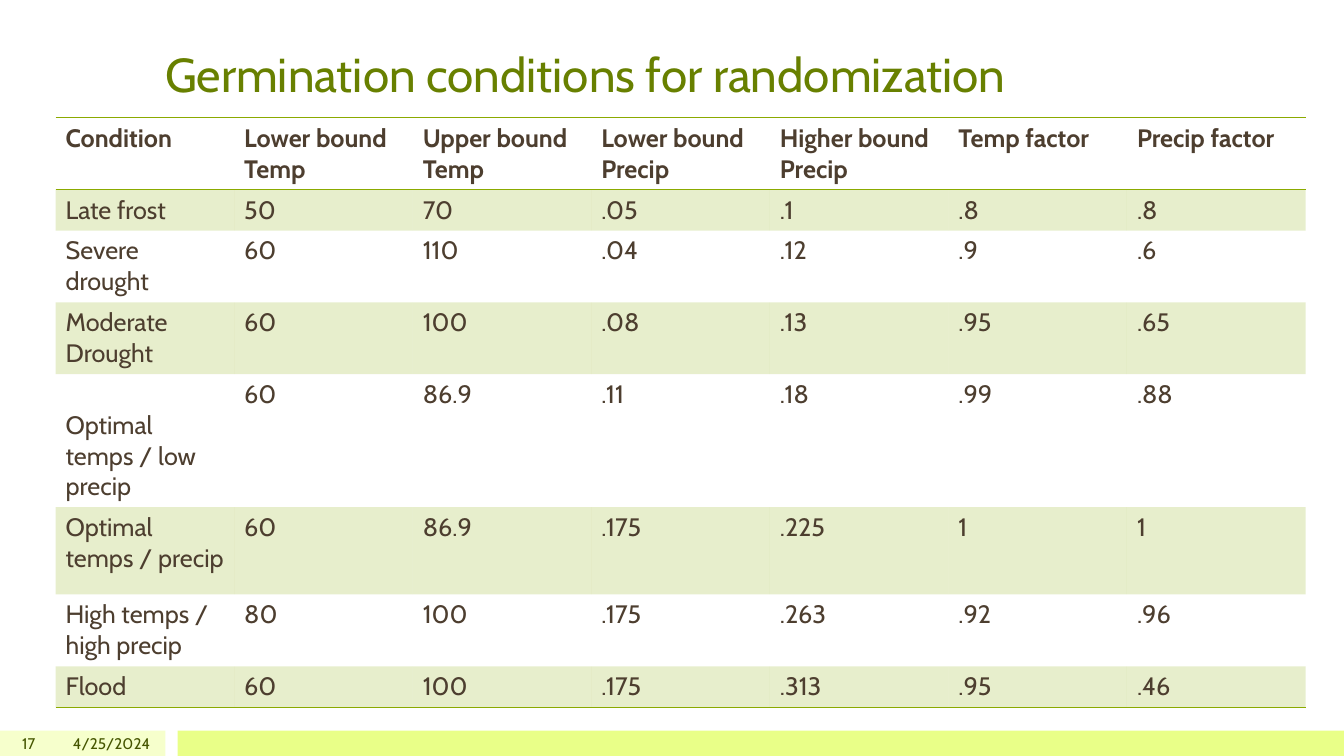
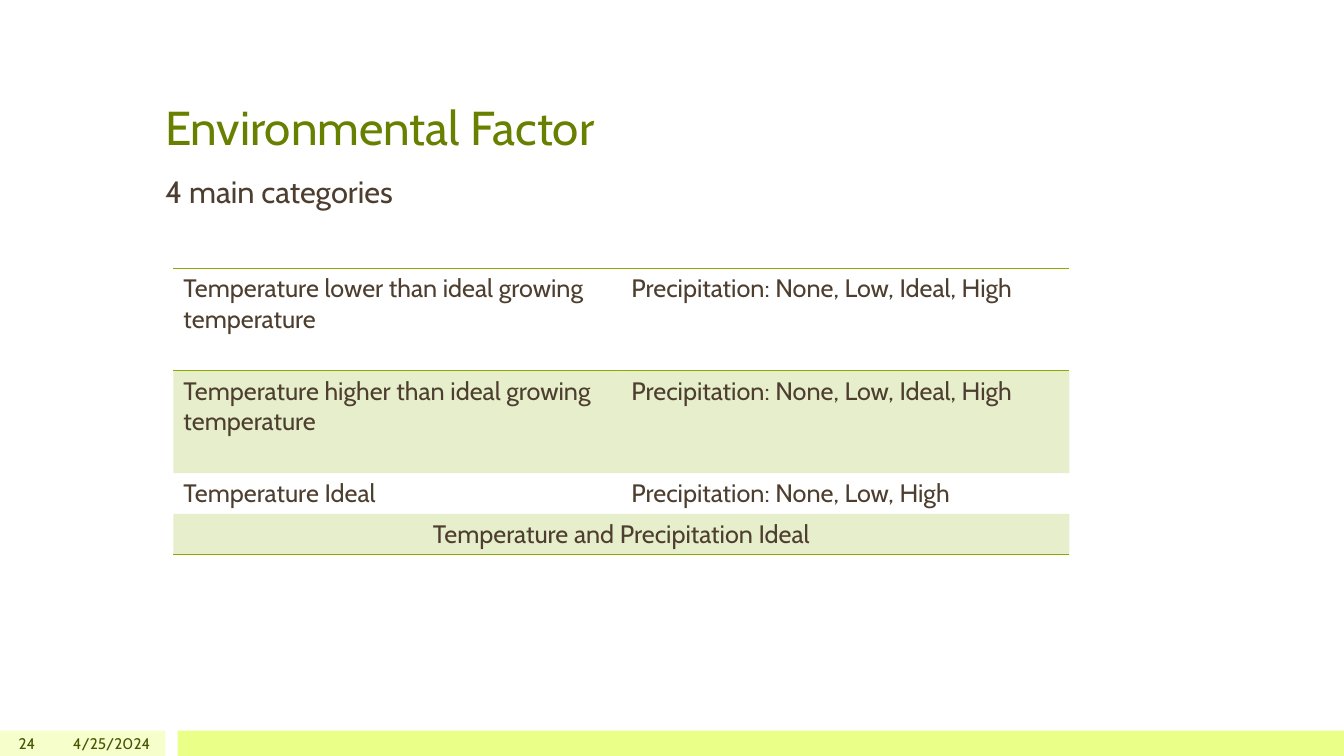
from lxml import etree
from pptx import Presentation
from pptx.dml.color import RGBColor
from pptx.enum import shapes, text
from pptx.oxml import ns
from pptx.util import Cm, Pt

FONT = "Cabin"
COLOURS = {
    "title": "688000",
    "body": "4D3E2F",
    "footer": "455500",
    "accent": "8BAA00",
    "pale band": "F6FFCC",
    "bright band": "E9FF88",
}
SLIDE_WIDTH, SLIDE_HEIGHT = 33.87, 19.05
FOOTER_HEIGHT = 0.64
FOOTER_TOP = SLIDE_HEIGHT - FOOTER_HEIGHT
CONTENT_LEFT, CONTENT_WIDTH = 3.91, 26.04
TITLE_HEIGHT = 3.28
PLAIN_TABLE_STYLE = "{2D5ABB26-0587-4C30-8999-92F81FD0307C}"
DATE = "4/25/2024"
ONE_LINE, TWO_LINES = 1.03, 1.81

CONDITIONS = [
    ["Condition", "Lower bound Temp", "Upper bound Temp", "Lower bound Precip",
     "Higher bound Precip", "Temp factor", "Precip factor"],
    ["Late frost", "50", "70", ".05", ".1", ".8", ".8"],
    ["Severe drought", "60", "110", ".04", ".12", ".9", ".6"],
    ["Moderate Drought", "60", "100", ".08", ".13", ".95", ".65"],
    ["Optimal temps / low precip", "60", "86.9", ".11", ".18", ".99", ".88"],
    ["Optimal temps / precip", "60", "86.9", ".175", ".225", "1", "1"],
    ["High temps / high precip", "80", "100", ".175", ".263", ".92", ".96"],
    ["Flood", "60", "100", ".175", ".313", ".95", ".46"],
]
CONDITION_HEIGHTS = [TWO_LINES, ONE_LINE, TWO_LINES, TWO_LINES, 3.35, 2.2, TWO_LINES, ONE_LINE]

FACTORS = [
    ["Temperature lower than ideal growing temperature", "Precipitation: None, Low, Ideal, High"],
    ["Temperature higher than ideal growing temperature", "Precipitation: None, Low, Ideal, High"],
    ["Temperature Ideal", "Precipitation: None, Low, High"],
    ["Temperature and Precipitation Ideal", ""],
]
FACTOR_HEIGHTS = [2.58, 2.58, ONE_LINE, ONE_LINE]


def colour(value):
    return RGBColor.from_string(value)


def set_attributes(target, values):
    for name, value in values.items():
        setattr(target, name, value)


def write(frame, words, size, ink, bold=False, **paragraph_format):
    paragraph = frame.paragraphs[0]
    set_attributes(paragraph, paragraph_format)
    run = paragraph.add_run()
    run.text = words
    set_attributes(run.font, {"name": FONT, "size": Pt(size), "bold": bold})
    run.font.color.rgb = colour(ink)


def add_text(slide, box, words, size, ink, anchor, **paragraph_format):
    frame = slide.shapes.add_textbox(*map(Cm, box)).text_frame
    set_attributes(frame, {"word_wrap": True, "vertical_anchor": anchor})
    write(frame, words, size, ink, **paragraph_format)


def add_band(slide, left, width, fill):
    shape = slide.shapes.add_shape(
        shapes.MSO_SHAPE.RECTANGLE, Cm(left), Cm(FOOTER_TOP), Cm(width), Cm(FOOTER_HEIGHT))
    shape.shadow.inherit = False
    shape.fill.solid()
    shape.fill.fore_color.rgb = colour(fill)
    shape.line.fill.background()


def add_footer(slide, number):
    add_band(slide, 0, 4.17, COLOURS["pale band"])
    add_band(slide, 4.48, SLIDE_WIDTH - 4.48, COLOURS["bright band"])
    for left, width, words in [(0, 1.14, number), (1.27, 2.77, DATE)]:
        add_text(slide, (left, FOOTER_TOP, width, FOOTER_HEIGHT), words, 11, COLOURS["footer"],
                 text.MSO_ANCHOR.MIDDLE, alignment=text.PP_ALIGN.RIGHT)


def add_titled_slide(presentation, title, title_top, number):
    slide = presentation.slides.add_slide(presentation.slide_layouts[6])
    add_footer(slide, number)
    add_text(slide, (CONTENT_LEFT, title_top, CONTENT_WIDTH, TITLE_HEIGHT), title, 34,
             COLOURS["title"], text.MSO_ANCHOR.BOTTOM)
    return slide


def add_border(cell, edge):
    properties = cell._tc.get_or_add_tcPr()
    line = etree.Element(ns.qn(f"a:{edge}"), w=str(Pt(1)))
    fill = etree.SubElement(line, ns.qn("a:solidFill"))
    etree.SubElement(fill, ns.qn("a:srgbClr"), val=COLOURS["accent"])
    position = len(properties.findall(ns.qn("a:lnT")))
    properties.insert(position, line)


def tint(cell):
    cell.fill.solid()
    cell.fill.fore_color.rgb = colour(COLOURS["accent"])
    value = cell._tc.tcPr.find(".//" + ns.qn("a:srgbClr"))
    etree.SubElement(value, ns.qn("a:alpha"), val="20000")


def add_striped_table(slide, left, top, column_width, heights, rows, bold_header=False):
    columns = len(rows[0])
    table = slide.shapes.add_table(
        len(rows), columns, Cm(left), Cm(top), Cm(column_width * columns), Cm(sum(heights))).table
    set_attributes(table, {"first_row": bold_header, "horz_banding": False})
    table._tbl.tblPr.find(ns.qn("a:tableStyleId")).text = PLAIN_TABLE_STYLE
    for column in table.columns:
        column.width = Cm(column_width)
    for index, (words_in_row, height) in enumerate(zip(rows, heights)):
        table.rows[index].height = Cm(height)
        edges = {0: ["lnT", "lnB"], len(rows) - 1: ["lnB"]}.get(index, [])
        for cell, words in zip(table.rows[index].cells, words_in_row):
            if index % 2:
                tint(cell)
            else:
                cell.fill.background()
            for edge in edges:
                add_border(cell, edge)
            if words:
                write(cell.text_frame, words, 18, COLOURS["body"], bold_header and index == 0)
    return table


def add_conditions_slide(presentation):
    slide = add_titled_slide(presentation, "Germination conditions for randomization", -0.58, "17")
    table = add_striped_table(slide, 1.4, 2.97, 4.5, CONDITION_HEIGHTS, CONDITIONS, True)
    table.cell(4, 0).margin_top = Cm(0.9)


def add_factor_slide(presentation):
    slide = add_titled_slide(presentation, "Environmental Factor", 0.76, "24")
    add_text(slide, (CONTENT_LEFT, 4.34, CONTENT_WIDTH, 1.2), "4 main categories", 22,
             COLOURS["body"], text.MSO_ANCHOR.TOP, line_spacing=0.9, space_before=Pt(11))
    table = add_striped_table(slide, 4.37, 6.76, 11.29, FACTOR_HEIGHTS, FACTORS)
    summary = table.cell(3, 0)
    summary.merge(table.cell(3, 1))
    summary.vertical_anchor = text.MSO_ANCHOR.MIDDLE
    summary.text_frame.paragraphs[0].alignment = text.PP_ALIGN.CENTER


def main():
    presentation = Presentation()
    set_attributes(presentation, {"slide_width": Cm(SLIDE_WIDTH), "slide_height": Cm(SLIDE_HEIGHT)})
    add_conditions_slide(presentation)
    add_factor_slide(presentation)
    presentation.save("out.pptx")


if __name__ == "__main__":
    main()
